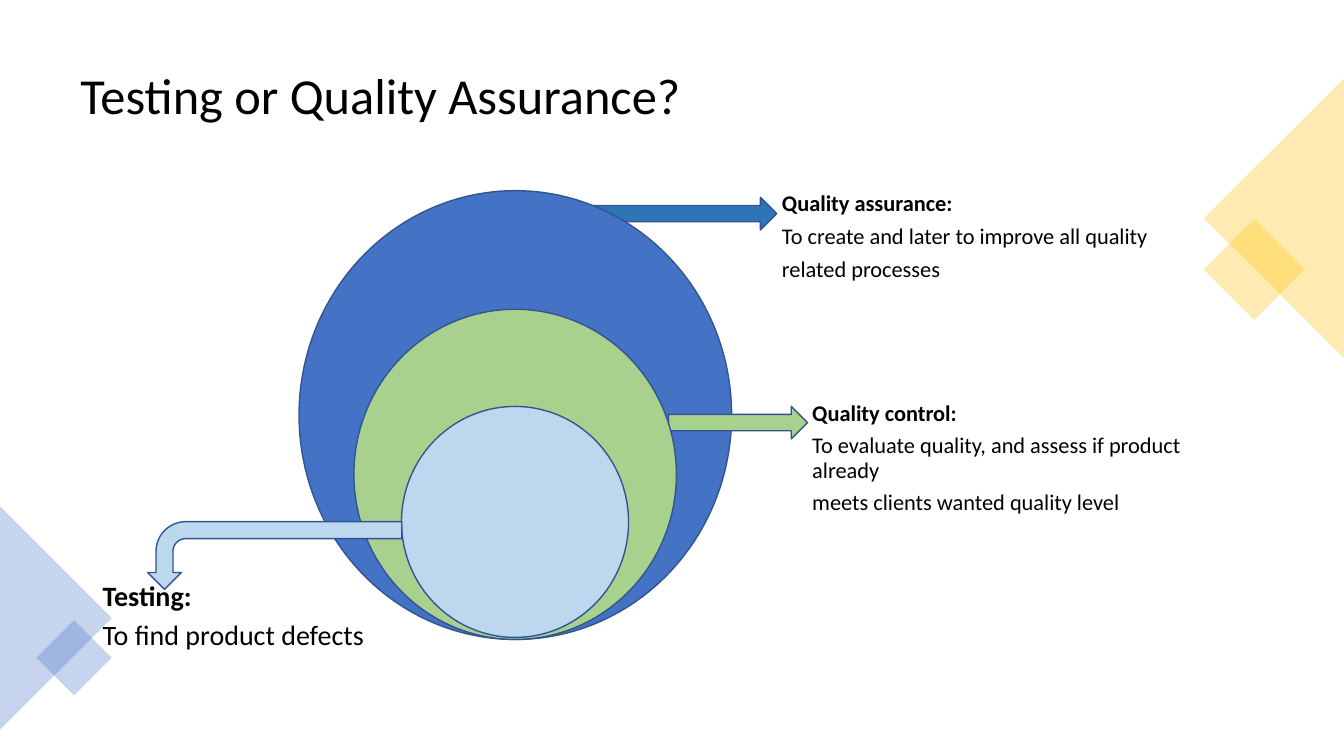
from lxml.etree import SubElement
from pptx import Presentation
from pptx.dml.color import RGBColor
from pptx.enum.shapes import MSO_SHAPE as SHAPE
from pptx.enum.text import MSO_ANCHOR as ANCHOR
from pptx.oxml.ns import qn
from pptx.util import Pt

BLACK = RGBColor(0x00, 0x00, 0x00)
GOLD = RGBColor(0xFF, 0xC0, 0x00)
BLUE = RGBColor(0x44, 0x72, 0xC4)
DEEP_BLUE = RGBColor(0x2E, 0x75, 0xB6)
GREEN = RGBColor(0xA9, 0xD1, 0x8E)
PALE_BLUE = RGBColor(0xBD, 0xD7, 0xEE)
OUTLINE = RGBColor(0x32, 0x54, 0x91)
FONT = "Calibri"


def add_filled(s, kind, box, color, rotation=0):
    """Add a shape with a plain fill and no shadow."""
    sp = s.shapes.add_shape(kind, *map(Pt, box))
    sp.shadow.inherit = False
    sp.fill.solid()
    sp.fill.fore_color.rgb = color
    sp.rotation = rotation
    return sp


def add_decoration(s, kind, box, color, rotation):
    """Add a see-through corner shape without a line."""
    sp = add_filled(s, kind, box, color, rotation)
    sp.line.fill.background()
    clr = sp._element.spPr.find(qn("a:solidFill")).find(qn("a:srgbClr"))
    SubElement(clr, qn("a:alpha"), val="30000")


def add_outlined(s, kind, box, color, rotation=0):
    """Add a circle or arrow of the diagram."""
    sp = add_filled(s, kind, box, color, rotation)
    sp.line.color.rgb = OUTLINE
    sp.line.width = Pt(1)
    return sp


def add_paragraph(tf, text, size, bold=False, first=False):
    """Add one paragraph of text to a frame."""
    p = tf.paragraphs[0] if first else tf.add_paragraph()
    p.text = text
    p.line_spacing = 0.9
    p.font.name = FONT
    p.font.size = Pt(size)
    p.font.bold = bold
    p.font.color.rgb = BLACK
    return p


def add_title(s, text):
    """Add the slide title."""
    tf = s.shapes.add_textbox(Pt(50.4), Pt(25.2), Pt(859), Pt(89.3)).text_frame
    tf.word_wrap = True
    tf.vertical_anchor = ANCHOR.MIDDLE
    add_paragraph(tf, text, 36, first=True)


def add_label(s, box, size, heading, *lines):
    """Add a bold heading with its explanation below."""
    tf = s.shapes.add_textbox(*map(Pt, box)).text_frame
    tf.word_wrap = False
    for i, text in enumerate((heading, *lines)):
        p = add_paragraph(tf, text, size, bold=i == 0, first=i == 0)
        p.space_after = Pt(6)


def main():
    """Build and save the slide."""
    prs = Presentation()
    prs.slide_width, prs.slide_height = Pt(960), Pt(540)
    s = prs.slides.add_slide(prs.slide_layouts[6])

    add_title(s, "Testing or Quality Assurance?")
    for kind, box, color, rotation in (
        (SHAPE.RECTANGLE, (870.3, 167, 51, 51), GOLD, 45),
        (SHAPE.ISOSCELES_TRIANGLE, (810.2, 105.9, 199.4, 100), GOLD, 270),
        (SHAPE.ISOSCELES_TRIANGLE, (-39.7, 401.6, 159.3, 79.8), BLUE, 90),
        (SHAPE.RECTANGLE, (33.8, 450.8, 38.1, 38.1), BLUE, 45),
    ):
        add_decoration(s, kind, box, color, rotation)

    for kind, box, color in (
        (SHAPE.RIGHT_ARROW, (422.8, 141, 132, 23.3), DEEP_BLUE),
        (SHAPE.FLOWCHART_CONNECTOR, (213.6, 136.2, 309, 320.6), BLUE),
        (SHAPE.RIGHT_ARROW, (477.4, 290.2, 99.4, 23.3), GREEN),
        (SHAPE.FLOWCHART_CONNECTOR, (252.8, 220.9, 230.4, 235.8), GREEN),
        (SHAPE.FLOWCHART_CONNECTOR, (286.8, 290.3, 162.2, 165), PALE_BLUE),
    ):
        add_outlined(s, kind, box, color)

    add_label(s, (66.2, 412.6, 205.2, 56.9), 20,
              "Testing:", "To find product defects")
    add_label(s, (573.1, 283.7, 321.1, 81.4), 16, "Quality control:",
              "To evaluate quality, and assess if product already",
              "meets clients wanted quality level")
    add_label(s, (551.5, 134, 295.2, 81.4), 16, "Quality assurance:",
              "To create and later to improve all quality",
              "related processes")

    bent = add_outlined(s, SHAPE.BENT_ARROW, (172, 306, 48.4, 181.6),
                        PALE_BLUE, 270)
    bent._element.spPr.find(qn("a:xfrm")).set("flipH", "1")
    prs.save("out.pptx")


if __name__ == "__main__":
    main()
